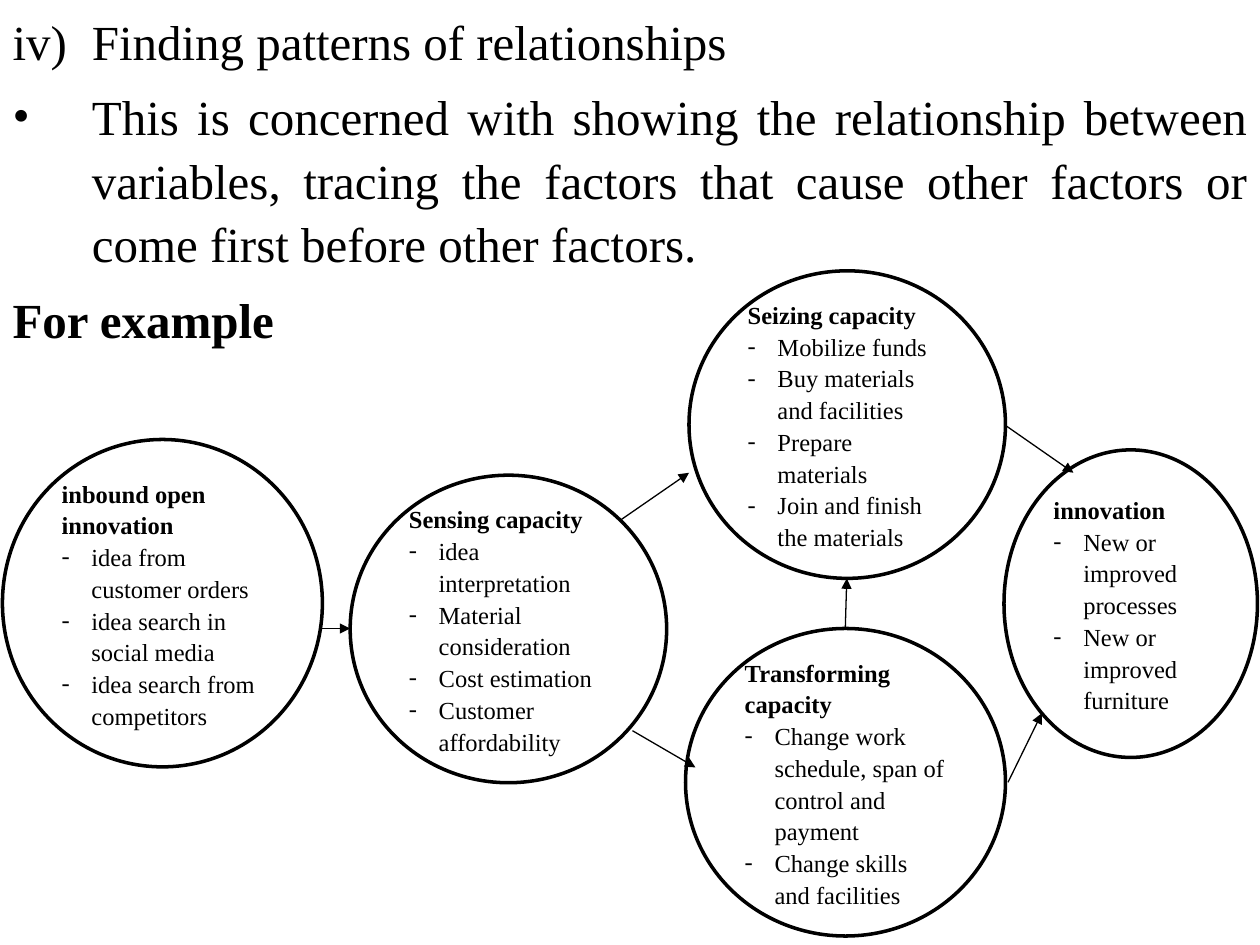
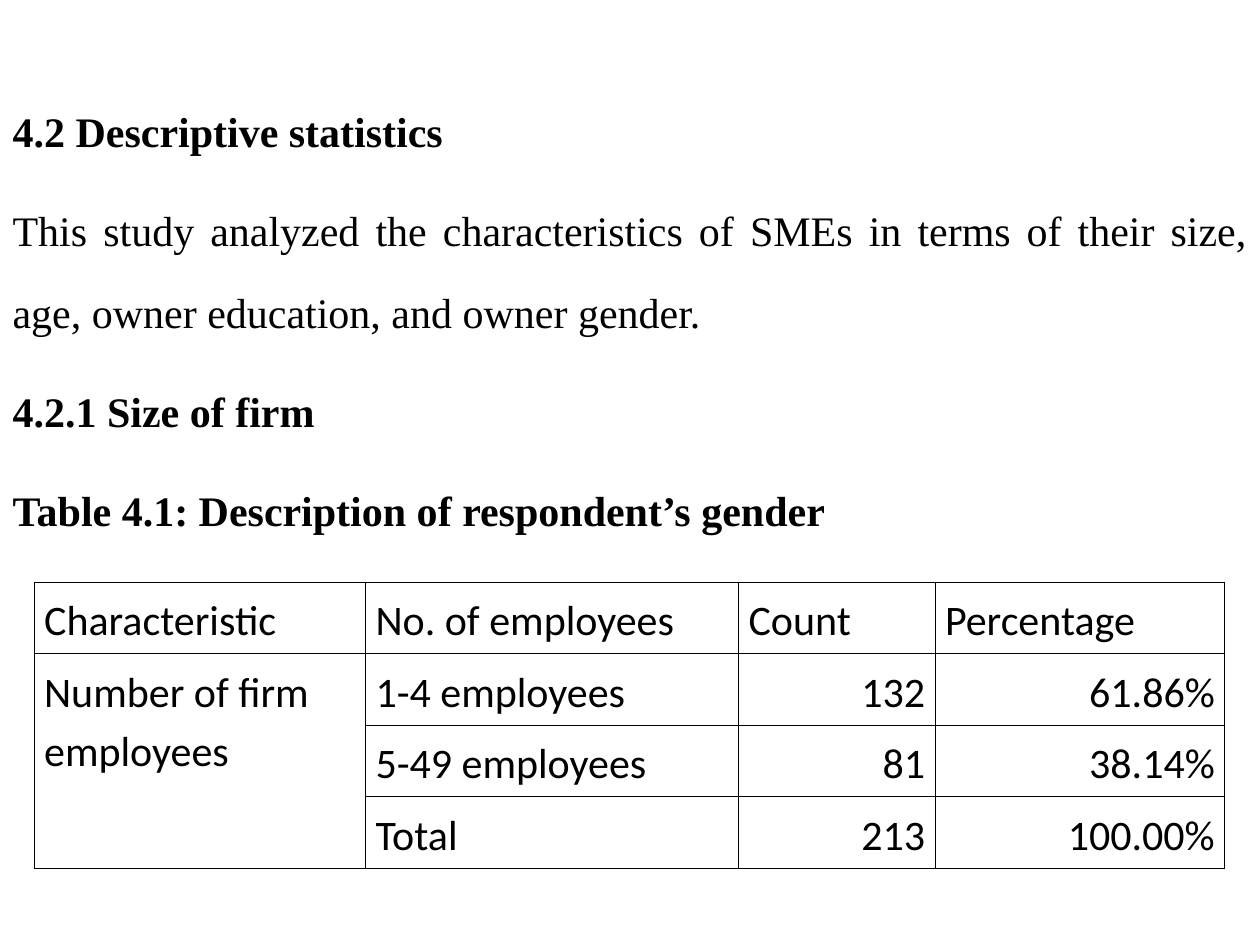
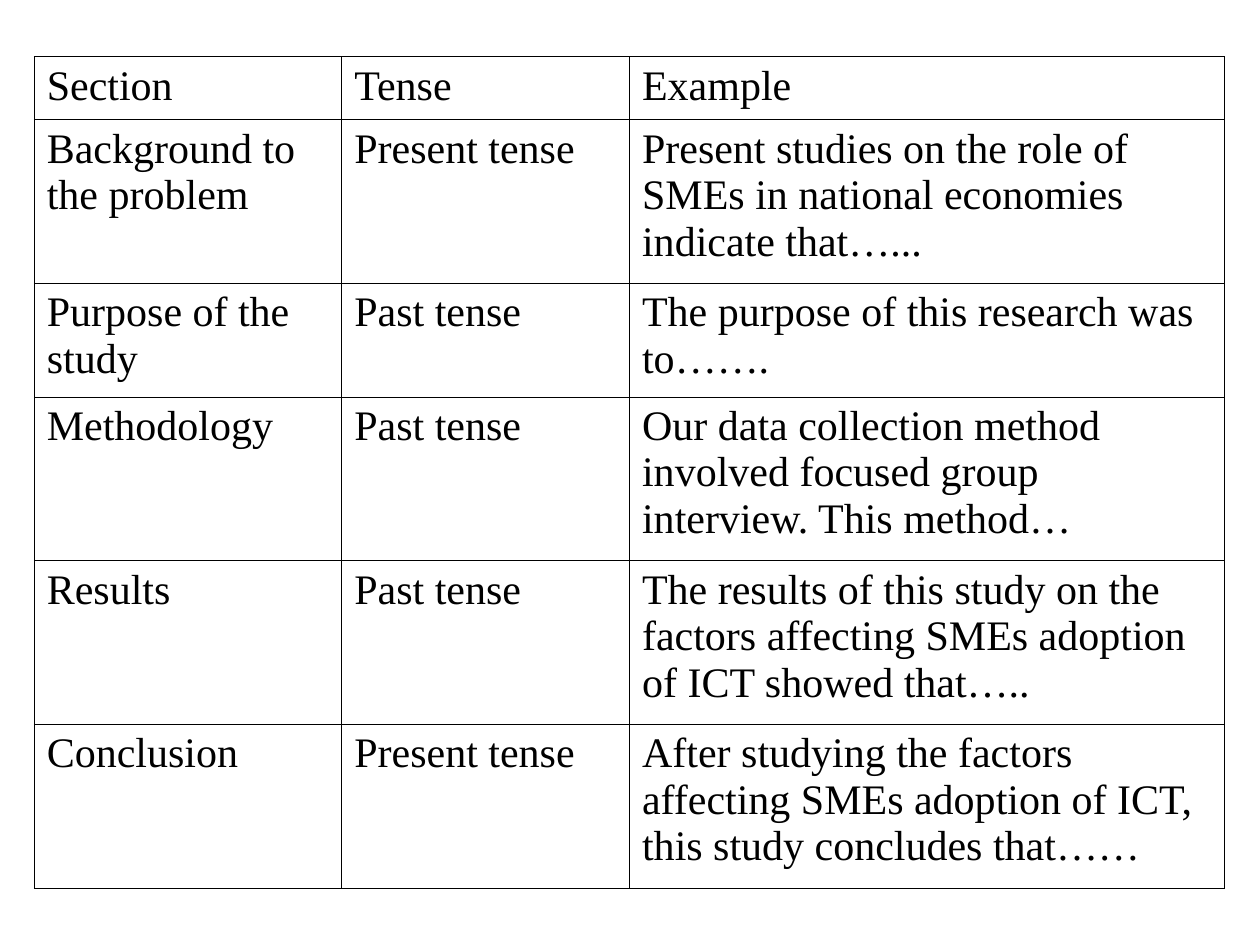
from lxml.etree import SubElement
from pptx import Presentation
from pptx.dml.color import RGBColor
from pptx.enum.shapes import MSO_CONNECTOR, MSO_SHAPE
from pptx.enum.text import MSO_ANCHOR, PP_ALIGN
from pptx.oxml.ns import qn
from pptx.util import Cm, Pt

BLACK = "000000"
WHITE = "FFFFFF"
SERIF = "Times New Roman"
SANS = "Calibri"
TABLE_LEFT = 0.69

CAPACITIES = [
    ((0.05, 8.86, 6.45, 6.6), "inbound open innovation",
     ["idea from customer orders", "idea search in social media",
      "idea search from competitors"]),
    ((7.06, 9.58, 6.38, 6.2), "Sensing capacity",
     ["idea interpretation", "Material consideration", "Cost estimation",
      "Customer affordability"]),
    ((13.89, 5.46, 6.38, 6.2), "Seizing capacity",
     ["Mobilize funds", "Buy materials and facilities", "Prepare materials",
      "Join and finish the materials"]),
    ((13.82, 12.67, 6.45, 6.2), "Transforming capacity",
     ["Change work schedule, span of control and payment",
      "Change skills and facilities"]),
    ((20.24, 9.07, 5.11, 6.2), "innovation",
     ["New or improved processes", "New or improved furniture"]),
]

ARROWS = [
    (6.48, 12.67, 7.06, 12.67),
    (12.5, 10.49, 13.89, 9.53),
    (12.75, 14.73, 14.02, 15.47),
    (17.04, 12.67, 17.07, 11.66),
    (20.29, 8.59, 21.64, 9.53),
    (20.32, 15.77, 21, 14.38),
]

FIRM_SIZES = [
    ["Characteristic", "No. of employees", "Count", "Percentage"],
    ["Number of firm employees", "1-4 employees", "132", "61.86%"],
    ["", "5-49 employees", "81", "38.14%"],
    ["", "Total", "213", "100.00%"],
]

TENSES = [
    ["Section", "Tense", "Example"],
    ["Background to the problem", "Present tense",
     "Present studies on the role of SMEs in national economies indicate that…..."],
    ["Purpose of the study", "Past tense",
     "The purpose of this research was to……."],
    ["Methodology", "Past tense",
     "Our data collection method involved focused group interview. This method…"],
    ["Results", "Past tense",
     "The results of this study on the factors affecting SMEs adoption of ICT showed that….."],
    ["Conclusion", "Present tense",
     "After studying the factors affecting SMEs adoption of ICT, this study concludes that……"],
]


def color(value):
    return RGBColor.from_string(value)


def set_font(paragraph, size, name=SERIF, bold=False):
    font = paragraph.font
    font.size, font.name, font.bold = Pt(size), name, bold
    font.color.rgb = color(BLACK)


def add_bullet(paragraph, indent, tag, **attributes):
    properties = paragraph._p.get_or_add_pPr()
    properties.set("marL", str(Cm(indent)))
    properties.set("indent", str(-Cm(indent)))
    SubElement(properties, qn("a:buFont"), typeface=SERIF)
    SubElement(properties, qn(tag), **attributes)


def add_paragraph(frame, text):
    paragraph = frame.paragraphs[0] if not frame.text else frame.add_paragraph()
    paragraph.text = text
    return paragraph


def add_text_slide(deck, margin_top):
    slide = deck.slides.add_slide(deck.slide_layouts[0])
    heading = slide.shapes.title
    heading.element.getparent().remove(heading.element)
    body = slide.placeholders[1]
    body.left = body.top = 0
    body.width, body.height = deck.slide_width, deck.slide_height
    frame = body.text_frame
    frame.vertical_anchor = MSO_ANCHOR.TOP
    frame.margin_top = Cm(margin_top)
    return slide, frame


def add_body_line(frame, text, size, bold, spacing, before=0, after=0, bullet=None):
    paragraph = add_paragraph(frame, text)
    if bullet:
        add_bullet(paragraph, 1.6, bullet[0], **bullet[1])
    paragraph.alignment = PP_ALIGN.JUSTIFY
    paragraph.line_spacing = spacing
    paragraph.space_before, paragraph.space_after = Pt(before), Pt(after)
    set_font(paragraph, size, bold=bold)


def add_capacity(slide, bounds, heading, points):
    ellipse = slide.shapes.add_shape(MSO_SHAPE.OVAL, *map(Cm, bounds))
    ellipse.shadow.inherit = False
    ellipse.fill.solid()
    ellipse.fill.fore_color.rgb = color(WHITE)
    ellipse.line.color.rgb = color(BLACK)
    ellipse.line.width = Pt(2)
    for text in [heading, *points]:
        paragraph = add_paragraph(ellipse.text_frame, text)
        if text != heading:
            add_bullet(paragraph, 0.6, "a:buChar", char="-")
        paragraph.alignment = PP_ALIGN.LEFT
        paragraph.line_spacing = 1.08
        set_font(paragraph, 14, bold=text == heading)


def add_arrow(slide, ends):
    arrow = slide.shapes.add_connector(MSO_CONNECTOR.STRAIGHT, *map(Cm, ends))
    arrow.line.color.rgb = color(BLACK)
    arrow.line.width = Pt(0.75)
    SubElement(arrow.line._get_or_add_ln(), qn("a:tailEnd"), type="triangle")
    SubElement(arrow.element.spPr, qn("a:effectLst"))


def add_borders(cell):
    properties = cell._tc.get_or_add_tcPr()
    for side in "LRTB":
        border = SubElement(properties, qn(f"a:ln{side}"), w=str(Pt(0.45)))
        fill = SubElement(border, qn("a:solidFill"))
        SubElement(fill, qn("a:srgbClr"), val=BLACK)


def add_grid(slide, top, widths, heights, rows, font_name, spacing=1.0):
    table = slide.shapes.add_table(
        len(heights), len(widths), Cm(TABLE_LEFT), Cm(top),
        Cm(sum(widths)), Cm(sum(heights))).table
    table.first_row = table.horz_banding = False
    for column, width in zip(table.columns, widths):
        column.width = Cm(width)
    for row, height, texts in zip(table.rows, heights, rows):
        row.height = Cm(height)
        for cell, text in zip(row.cells, texts):
            add_borders(cell)
            cell.fill.background()
            paragraph = cell.text_frame.paragraphs[0]
            paragraph.text = text
            paragraph.line_spacing = spacing
            set_font(paragraph, 24, font_name)
    return table


def add_relationships_slide(deck):
    slide, frame = add_text_slide(deck, 0.13)
    numeral = ("a:buAutoNum", {"type": "romanLcParenR", "startAt": "4"})
    dot = ("a:buChar", {"char": "•"})
    lines = [
        ("Finding patterns of relationships", False, 0, numeral),
        ("This is concerned with showing the relationship between variables, "
         "tracing the factors that cause other factors or come first before "
         "other factors.", False, 7, dot),
        ("For example", True, 7, None),
    ]
    for text, bold, before, bullet in lines:
        add_body_line(frame, text, 28, bold, 1.08, before=before, bullet=bullet)
    for capacity in CAPACITIES:
        add_capacity(slide, *capacity)
    for ends in ARROWS:
        add_arrow(slide, ends)


def add_statistics_slide(deck):
    slide, frame = add_text_slide(deck, 1.5)
    lines = [
        ("4.2 Descriptive statistics", True),
        ("This study analyzed the characteristics of SMEs in terms of their "
         "size, age, owner education, and owner gender.", False),
        ("4.2.1 Size of firm", True),
        ("Table 4.1: Description of respondent’s gender", True),
    ]
    for text, bold in lines:
        add_body_line(frame, text, 24, bold, 1.62, after=10)
    table = add_grid(slide, 11.73, [6.68, 7.52, 3.96, 5.84], [1.2] * 4,
                     FIRM_SIZES, SANS, 1.15)
    for cell in table.iter_cells():
        cell.margin_left = cell.margin_right = Cm(0.2)
        cell.vertical_anchor = MSO_ANCHOR.BOTTOM
        if cell.text[-3:].strip("%").isdigit():
            cell.text_frame.paragraphs[0].alignment = PP_ALIGN.RIGHT
    firm_employees = table.cell(1, 0)
    firm_employees.merge(table.cell(3, 0))
    firm_employees.vertical_anchor = MSO_ANCHOR.TOP


def add_tenses_slide(deck):
    slide = deck.slides.add_slide(deck.slide_layouts[6])
    add_grid(slide, 1.14, [6.2, 5.8, 12], [1.27, 3.3, 2.29, 3.3, 3.3, 3.3],
             TENSES, SERIF)


def main():
    deck = Presentation()
    deck.slide_width, deck.slide_height = Cm(25.4), Cm(19.05)
    add_relationships_slide(deck)
    add_statistics_slide(deck)
    add_tenses_slide(deck)
    deck.save("out.pptx")


if __name__ == "__main__":
    main()
